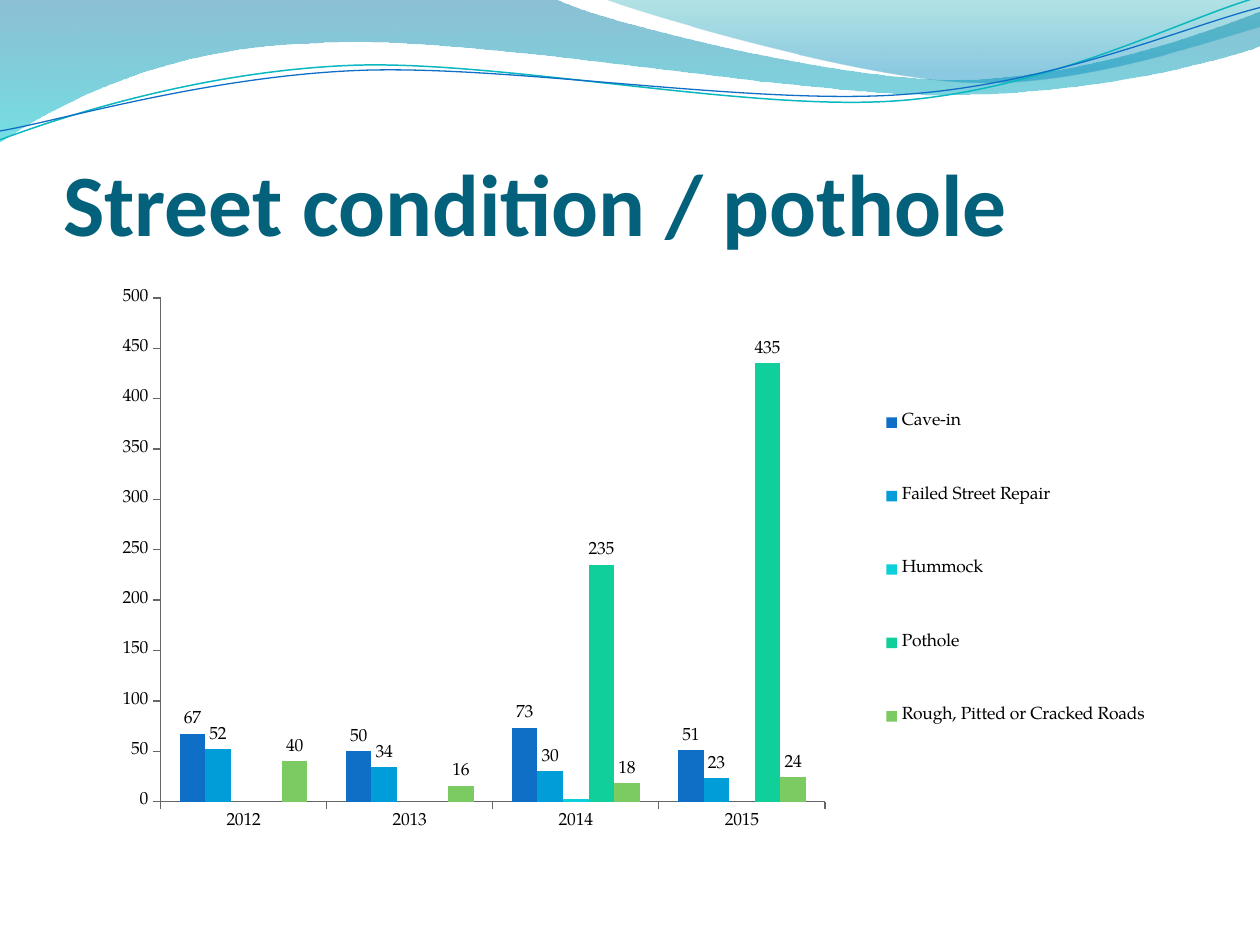
"""Build the street condition slide with a wave header and a column chart."""
from lxml.etree import SubElement
from pptx import Presentation
from pptx.chart.data import CategoryChartData
from pptx.dml.color import RGBColor
from pptx.enum.chart import XL_CHART_TYPE, XL_LABEL_POSITION, XL_LEGEND_POSITION, XL_TICK_MARK
from pptx.enum.text import MSO_ANCHOR, PP_ALIGN
from pptx.oxml import parse_xml
from pptx.oxml.ns import nsdecls, qn
from pptx.util import Cm, Pt

TITLE = "Street condition / pothole"
YEARS = ["2012", "2013", "2014", "2015"]
SERIES = [
    ("Cave-in", "0F6FC6", [67, 50, 73, 51], True),
    ("Failed Street Repair", "009DD9", [52, 34, 30, 23], True),
    ("Hummock", "0BD0D9", [None, None, 3, None], False),
    ("Pothole", "10CF9B", [None, None, 235, 435], True),
    ("Rough, Pitted or Cracked Roads", "7CCA62", [40, 16, 18, 24], True),
]
PLOT_BOX = (0.086, 0.051, 0.586, 0.833)
LEGEND_BOX = (0.71, 0.15, 0.26, 0.7)

BANDS = [
    ([(0, 0), (4.4, -0.01), (4.76, 0.17, 6.64, 0.63, 7.58, 0.63),
      (8.53, 0.63, 9.58, 0.26, 10, 0.09), (10.01, 0.36),
      (9.83, 0.44, 8.7, 0.76, 7.46, 0.75), (6.22, 0.75, 3.82, 0.28, 2.57, 0.34),
      (1.29, 0.36, 0.46, 0.83, -0.01, 1.13)],
     [(0, "0074A1", 45), (1, "00C6CF", 55)]),
    ([(4.79, -0.01), (5.09, 0.11, 6.82, 0.62, 7.69, 0.65),
      (8.56, 0.69, 9.61, 0.32, 10, 0.21), (10, 0)],
     [(0, "00A1A9", 30), (0.8, "008BBF", 45)]),
]
WAVES = [
    ([(0, 1.11), (0.48, 0.93, 1.58, 0.57, 2.77, 0.52),
      (3.95, 0.47, 5.93, 0.89, 7.13, 0.8), (8.33, 0.71, 9.38, 0.15, 9.98, -0.02)],
     "0AB8BF", 0.85),
    ([(0, 1.04), (0.47, 0.96, 1.64, 0.61, 2.83, 0.56),
      (4.03, 0.51, 5.97, 0.84, 7.17, 0.75), (8.36, 0.67, 9.41, 0.21, 10, 0.06)],
     "0F6FC6", 0.75),
]


def rgb(code):
    return RGBColor.from_string(code)


def inch(value):
    return Cm(value * 2.54)


def add_outline(s, outline, close):
    points = [(inch(seg[i]), inch(seg[i + 1])) for seg in outline for i in range(0, len(seg), 2)]
    builder = s.shapes.build_freeform(*points[0])
    builder.add_line_segments(points[1:], close=close)
    sp = builder.convert_to_shape()
    sp.shadow.inherit = False
    lines = iter(list(sp._element.spPr.iter(qn("a:lnTo"))))
    for seg in outline[1:]:
        line = next(lines)
        if len(seg) == 6:
            line.tag = qn("a:cubicBezTo")
            for _ in range(2):
                extra = next(lines)
                line.append(extra[0])
                extra.getparent().remove(extra)
    return sp


def add_header(s):
    for outline, stops in BANDS:
        sp = add_outline(s, outline, True)
        sp.line.fill.background()
        sp.fill.gradient()
        sp.fill.gradient_angle = 270
        for stop, (pos, color, _) in zip(sp.fill.gradient_stops, stops):
            stop.position = pos
            stop.color.rgb = rgb(color)
        for clr, (_, _, alpha) in zip(sp._element.spPr.iter(qn("a:srgbClr")), stops):
            SubElement(clr, qn("a:alpha")).set("val", str(alpha * 1000))
    for outline, color, width in WAVES:
        sp = add_outline(s, outline, False)
        sp.fill.background()
        sp.line.color.rgb = rgb(color)
        sp.line.width = Pt(width)


def add_title(s):
    sp = s.shapes.title
    sp.left, sp.top, sp.width, sp.height = map(inch, (0.5, 0.77, 9, 1.25))
    tf = sp.text_frame
    tf.text = TITLE
    tf.vertical_anchor = MSO_ANCHOR.BOTTOM
    tf.margin_left = tf.margin_right = tf.margin_bottom = 0
    tf.margin_top = inch(0.05)
    p = tf.paragraphs[0]
    p.alignment = PP_ALIGN.LEFT
    font = p.runs[0].font
    font.name, font.size, font.bold = "Calibri", Pt(50), True
    font.color.rgb = rgb("04617B")
    s.shapes._spTree.append(sp._element)


def manual_layout(box, inner=False):
    target = '<c:layoutTarget val="inner"/>' if inner else ""
    modes = "".join(f'<c:{k}Mode val="edge"/>' for k in "xy")
    sizes = "".join(f'<c:{k} val="{v}"/>' for k, v in zip("xywh", box))
    return parse_xml(f'<c:layout {nsdecls("c")}><c:manualLayout>{target}{modes}{sizes}'
                     '</c:manualLayout></c:layout>')


def add_chart(s):
    data = CategoryChartData()
    data.categories = YEARS
    for name, _, values, _ in SERIES:
        data.add_series(name, values)
    chart = s.shapes.add_chart(XL_CHART_TYPE.COLUMN_CLUSTERED,
                               *map(inch, (0.5, 2.12, 9, 4.8)), data).chart
    chart.has_title = False
    chart.font.name, chart.font.size = "TeX Gyre Pagella", Pt(10)
    chart.font.color.rgb = rgb("000000")
    plot = chart.plots[0]
    plot.gap_width, plot.overlap, plot.vary_by_categories = 150, 0, False
    for series, (_, color, _, labelled) in zip(plot.series, SERIES):
        series.format.fill.solid()
        series.format.fill.fore_color.rgb = rgb(color)
        if labelled:
            labels = series.data_labels
            labels.show_value = True
            labels.position = XL_LABEL_POSITION.OUTSIDE_END
    for axis in (chart.category_axis, chart.value_axis):
        axis.has_major_gridlines = False
        axis.major_tick_mark = XL_TICK_MARK.OUTSIDE
        axis.format.line.color.rgb = rgb("666666")
    axis = chart.value_axis
    axis.minimum_scale, axis.maximum_scale, axis.major_unit = 0, 500, 50
    chart.has_legend = True
    legend = chart.legend
    legend.position = XL_LEGEND_POSITION.RIGHT
    legend.include_in_layout = False
    area = chart._chartSpace.chart.plotArea
    for parent in (area, legend._element):
        for old in parent.findall(qn("c:layout")):
            parent.remove(old)
    area.insert(0, manual_layout(PLOT_BOX, inner=True))
    legend._element.find(qn("c:legendPos")).addnext(manual_layout(LEGEND_BOX))


def main():
    prs = Presentation()
    prs.slide_width, prs.slide_height = inch(10), inch(7.5)
    s = prs.slides.add_slide(prs.slide_layouts[5])
    add_header(s)
    add_title(s)
    add_chart(s)
    prs.save("out.pptx")


if __name__ == "__main__":
    main()
